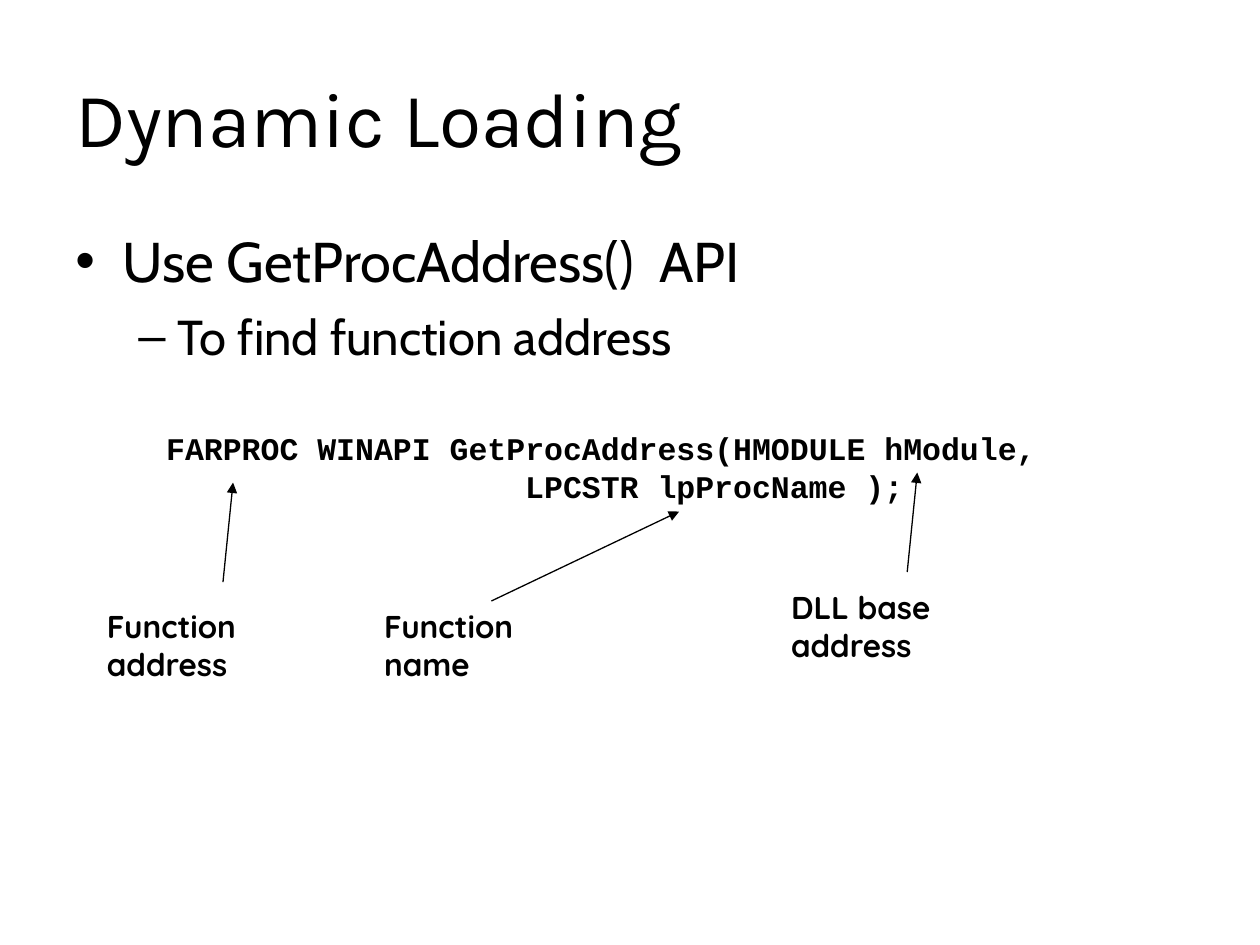
from dataclasses import dataclass

from lxml.etree import SubElement
from pptx import Presentation
from pptx.dml.color import RGBColor
from pptx.enum.shapes import MSO_CONNECTOR
from pptx.enum.text import MSO_ANCHOR
from pptx.oxml.ns import qn
from pptx.slide import Slide
from pptx.text.text import TextFrame
from pptx.util import Pt

COLOURS = {"ink": "000000", "paper": "FFFFFF"}


@dataclass(frozen=True)
class Box:
    left: float
    top: float
    width: float
    height: float


@dataclass(frozen=True)
class Callout:
    text: str
    left: float
    top: float
    arrow_from: tuple[float, float]
    arrow_to: tuple[float, float]


LABEL_WIDTH, LABEL_HEIGHT = 141.84, 50.4
CALLOUTS = [
    Callout("Function address", 54, 343.44, (127.44, 332.64), (133.2, 275.76)),
    Callout("DLL base address", 444.96, 332.64, (518.4, 326.88), (524.16, 270)),
    Callout("Function name", 212.4, 343.44, (280.8, 343.44), (388.08, 292.32)),
]


def rgb(name: str) -> RGBColor:
    return RGBColor.from_string(COLOURS[name])


def add_frame(slide: Slide, box: Box, anchor=MSO_ANCHOR.TOP) -> TextFrame:
    shape = slide.shapes.add_textbox(
        Pt(box.left), Pt(box.top), Pt(box.width), Pt(box.height))
    frame = shape.text_frame
    frame.word_wrap = True
    frame.vertical_anchor = anchor
    return frame


def write(frame: TextFrame, text: str, *, font: str, size: float,
          bold: bool = False, before: float = 0, margin: float = 0,
          hanging: float = 0, bullet: str = "") -> None:
    """Fill the first paragraph if it is empty, otherwise add another one."""
    first = frame.paragraphs[0]
    paragraph = frame.add_paragraph() if first.runs else first
    paragraph.space_before = Pt(before)
    run = paragraph.add_run()
    run.text = text
    run.font.name, run.font.size, run.font.bold = font, Pt(size), bold
    run.font.color.rgb = rgb("ink")

    properties = paragraph._p.get_or_add_pPr()
    properties.set("marL", str(Pt(margin)))
    properties.set("indent", str(-Pt(hanging)))
    if bullet:
        SubElement(properties, qn("a:buFont"), typeface="Arial")
        SubElement(properties, qn("a:buChar"), char=bullet)


def add_arrow(slide: Slide, start: tuple[float, float],
              end: tuple[float, float]) -> None:
    arrow = slide.shapes.add_connector(
        MSO_CONNECTOR.STRAIGHT, *(Pt(value) for value in start + end))
    arrow.line.color.rgb = rgb("ink")
    arrow.line.width = Pt(0.75)
    SubElement(arrow.line._get_or_add_ln(), qn("a:tailEnd"), type="triangle")
    SubElement(arrow._element.spPr, qn("a:effectLst"))


def add_callout(slide: Slide, callout: Callout) -> None:
    add_arrow(slide, callout.arrow_from, callout.arrow_to)
    label = add_frame(
        slide, Box(callout.left, callout.top, LABEL_WIDTH, LABEL_HEIGHT))
    write(label, callout.text, font="Quicksand", size=18, bold=True, before=11.2)


def main() -> None:
    deck = Presentation()
    deck.slide_width, deck.slide_height = Pt(720), Pt(540)
    slide = deck.slides.add_slide(deck.slide_layouts[6])
    slide.background.fill.solid()
    slide.background.fill.fore_color.rgb = rgb("paper")

    title = add_frame(slide, Box(36, 21.6, 648, 90), MSO_ANCHOR.MIDDLE)
    write(title, "Dynamic Loading", font="Karla", size=44)

    points = add_frame(slide, Box(36, 126, 648, 356.4))
    write(points, "Use GetProcAddress()  API", font="Cabin", size=32,
          before=8, margin=27, hanging=27, bullet="•")
    write(points, "To find function address", font="Cabin", size=28,
          before=7, margin=58.5, hanging=22.5, bullet="–")

    signature = add_frame(slide, Box(87.84, 241.92, 591.12, 50.4))
    write(signature, "FARPROC WINAPI GetProcAddress(HMODULE hModule,",
          font="Courier New", size=18, bold=True)
    write(signature, "LPCSTR lpProcName );",
          font="Courier New", size=18, bold=True, margin=205.2)

    for callout in CALLOUTS:
        add_callout(slide, callout)

    deck.save("out.pptx")


if __name__ == "__main__":
    main()
